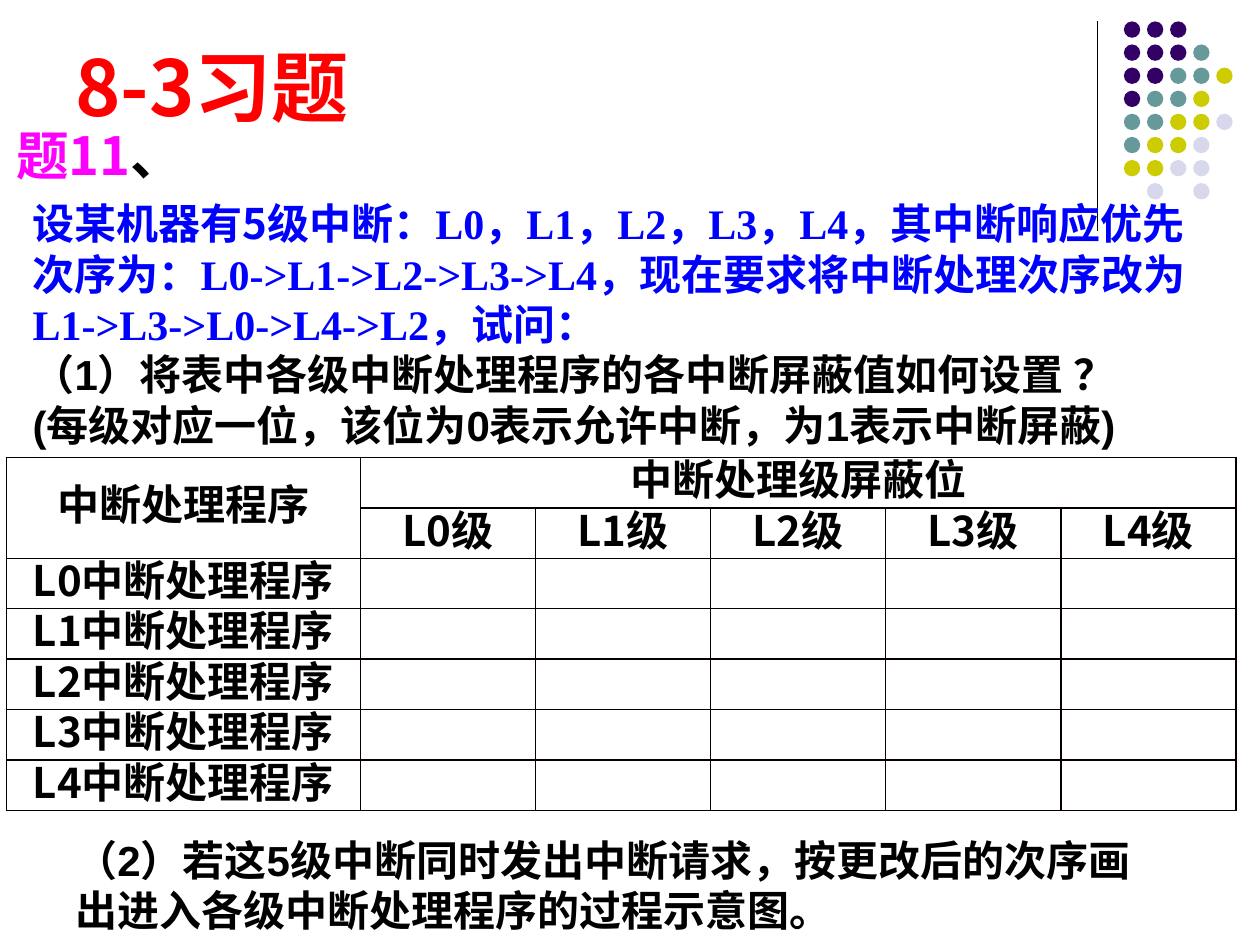
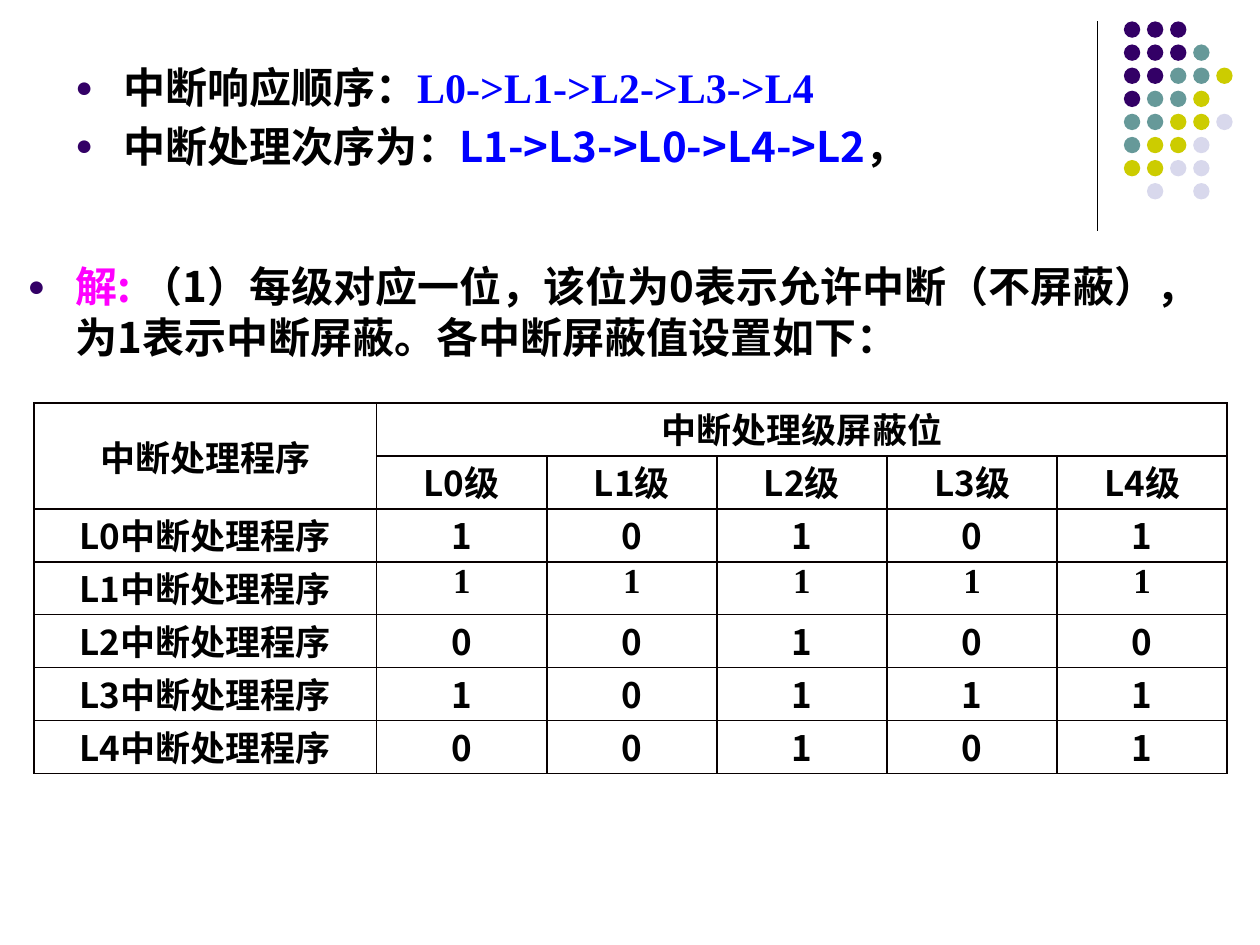
from lxml.etree import SubElement
from pptx import Presentation
from pptx.dml.color import RGBColor
from pptx.enum.shapes import MSO_CONNECTOR, MSO_SHAPE
from pptx.enum.text import MSO_ANCHOR, PP_ALIGN
from pptx.oxml import parse_xml
from pptx.oxml.ns import nsdecls, qn
from pptx.util import Inches, Pt

CJK, ARIAL, TIMES = "Noto Sans CJK SC", "Arial", "Times New Roman"
BLACK, BLUE, RED, PINK, PURPLE = "000000", "0000FF", "FF0000", "FF00FF", "330066"
BORDER = "080000"

DOT_COLORS = {"P": PURPLE, "T": "669999", "Y": "CCCC00", "G": "D8D8EC"}
DOT_ROWS = ["PPP", "PPPT", "PPTTY", "PTTY", "TTYYG", "TYYG", "YYGG", " G G"]
DOT_PITCH = 0.55 / 3

LEVELS = ["L0", "L1", "L2", "L3", "L4"]
MASKS = ["10101", "11111", "00100", "10111", "00101"]
TIMES_ROWS = {"L1"}

TITLE = [[("8-3习题", CJK, RED)]]
NUMBER = [[("题11", CJK, PINK), ("、", CJK, BLACK)]]
QUESTION = [
    [("设某机器有", ARIAL, BLUE), ("5", CJK, BLUE), ("级中断：", ARIAL, BLUE)]
    + [part for level in LEVELS[:-1]
       for part in ((level, TIMES, BLUE), ("，", ARIAL, BLUE))]
    + [("L4", TIMES, BLUE),
       ("，其中断响应优先次序为：", ARIAL, BLUE),
       ("L0->L1->L2->L3->L4", TIMES, BLUE),
       ("，现在要求将中断处理次序改为", ARIAL, BLUE),
       ("L1->L3->L0->L4->L2", TIMES, BLUE),
       ("，试问：", ARIAL, BLUE)],
    [("（1）将表中各级中断处理程序的各中断屏蔽值如何设置 ？", ARIAL, BLACK)],
    [("(每级对应一位，该位为0表示允许中断，为1表示中断屏蔽)", ARIAL, BLACK)],
]
QUESTION_2 = [[("（2）若这5级中断同时发出中断请求，按更改后的次序"
                "画出进入各级中断处理程序的过程示意图。", ARIAL, BLACK)]]
ORDERS = [
    [("中断响应顺序：", CJK, BLACK), ("L0->L1->L2->L3->L4", TIMES, BLUE)],
    [("中断处理次序为：", CJK, BLACK), ("L1->L3->L0->L4->L2", CJK, BLUE),
     ("，", CJK, BLACK)],
]
ANSWER = [[("解: ", CJK, PINK),
           ("（1）每级对应一位，该位为0表示允许中断（不屏蔽），"
            "为1表示中断屏蔽。各中断屏蔽值设置如下：", CJK, BLACK)]]


def rgb(color):
    return RGBColor.from_string(color)


def style_run(r, size, font, color):
    r.font.size, r.font.bold, r.font.name = Pt(size), True, font
    r.font.color.rgb = rgb(color)
    latin = r.font._element.find(qn("a:latin"))
    latin.addnext(parse_xml(f'<a:ea {nsdecls("a")} typeface="{CJK}"/>'))


def add_bullet(p):
    pPr = p._p.get_or_add_pPr()
    pPr.set("marL", str(Inches(0.38)))
    pPr.set("indent", str(Inches(-0.38)))
    SubElement(SubElement(pPr, qn("a:buClr")), qn("a:srgbClr"), val=PURPLE)
    SubElement(pPr, qn("a:buSzPct"), val="70000")
    SubElement(pPr, qn("a:buFont"), typeface=ARIAL)
    SubElement(pPr, qn("a:buChar"), char="●")


def add_text(s, box, paragraphs, size=24, bullets=False, anchor=MSO_ANCHOR.TOP):
    tf = s.shapes.add_textbox(*map(Inches, box)).text_frame
    tf.word_wrap = True
    tf.vertical_anchor = anchor
    for i, parts in enumerate(paragraphs):
        p = tf.add_paragraph() if i else tf.paragraphs[0]
        if bullets:
            add_bullet(p)
            if i:
                p.space_before = Pt(size * 0.2)
        p.line_spacing = Pt(size * 1.2)
        for text, font, color in parts:
            r = p.add_run()
            r.text = text
            style_run(r, size, font, color)


def add_slide(prs):
    s = prs.slides.add_slide(prs.slide_layouts[6])
    rule = s.shapes.add_connector(MSO_CONNECTOR.STRAIGHT, Inches(8.71), Inches(0.17),
                                  Inches(8.71), Inches(1.83))
    rule.line.color.rgb = rgb(BLACK)
    rule.line.width = Pt(0.75)
    SubElement(rule._element.spPr, qn("a:effectLst"))
    for row, dots in enumerate(DOT_ROWS):
        for col, key in enumerate(dots):
            if key == " ":
                continue
            sp = s.shapes.add_shape(
                MSO_SHAPE.OVAL, Inches(8.92 + col * DOT_PITCH),
                Inches(0.17 + row * DOT_PITCH), Inches(0.13), Inches(0.13))
            sp.shadow.inherit = False
            sp.fill.solid()
            sp.fill.fore_color.rgb = rgb(DOT_COLORS[key])
            sp.line.fill.background()
    return s


def style_cell(cell, text, size, font, line_spacing):
    cell.margin_left = cell.margin_right = Inches(0.07)
    cell.margin_top = cell.margin_bottom = 0
    cell.fill.background()
    tcPr = cell._tc.get_or_add_tcPr()
    for i, side in enumerate(("lnL", "lnR", "lnT", "lnB")):
        tcPr.insert(i, parse_xml(
            f'<a:{side} {nsdecls("a")} w="12700"><a:solidFill>'
            f'<a:srgbClr val="{BORDER}"/></a:solidFill></a:{side}>'))
    if text:
        p = cell.text_frame.paragraphs[0]
        p.text = text
        p.alignment = PP_ALIGN.CENTER
        p.line_spacing = line_spacing
        style_run(p.runs[0], size, font, BLACK)


def add_mask_table(s, left, top, widths, row_height, size, masks, line_spacing=None):
    rows = [["中断处理程序", "中断处理级屏蔽位", "", "", "", ""],
            [""] + [level + "级" for level in LEVELS]]
    rows += [[level + "中断处理程序", *mask] for level, mask in zip(LEVELS, masks)]
    name_width, level_width = widths
    table = s.shapes.add_table(
        len(rows), len(rows[0]), Inches(left), Inches(top),
        Inches(name_width + level_width * len(LEVELS)),
        Inches(row_height * len(rows))).table
    table.first_row = table.horz_banding = False
    for col, column in enumerate(table.columns):
        column.width = Inches(level_width if col else name_width)
    for row, texts in enumerate(rows):
        table.rows[row].height = Inches(row_height)
        for col, text in enumerate(texts):
            in_times = col and texts[0][:2] in TIMES_ROWS
            style_cell(table.cell(row, col), text, size,
                       TIMES if in_times else CJK, line_spacing)
    table.cell(0, 0).merge(table.cell(1, 0))
    table.cell(0, 1).merge(table.cell(0, len(LEVELS)))
    table.cell(0, 0).vertical_anchor = MSO_ANCHOR.MIDDLE


def main():
    prs = Presentation()
    prs.slide_width, prs.slide_height = Inches(10), Inches(7.5)

    s = add_slide(prs)
    add_text(s, (0.5, 0.13, 8.25, 0.97), TITLE, 44, anchor=MSO_ANCHOR.BOTTOM)
    add_text(s, (0.03, 0.93, 9, 0.6), NUMBER, 30)
    add_text(s, (0.16, 1.52, 9.65, 2.12), QUESTION)
    add_mask_table(s, 0.05, 3.63, (2.81, 1.39), 0.4, 24,
                   [[""] * len(LEVELS)] * len(LEVELS), Pt(28.8))
    add_text(s, (0.5, 6.57, 8.7, 0.91), QUESTION_2)

    s = add_slide(prs)
    add_text(s, (0.12, 2.02, 9.45, 1), ANSWER, bullets=True)
    add_mask_table(s, 0.27, 3.2, (2.72, 1.35), 0.42, 20, MASKS)
    add_text(s, (0.5, 0.44, 9, 1), ORDERS, bullets=True)

    prs.save("out.pptx")


if __name__ == "__main__":
    main()
